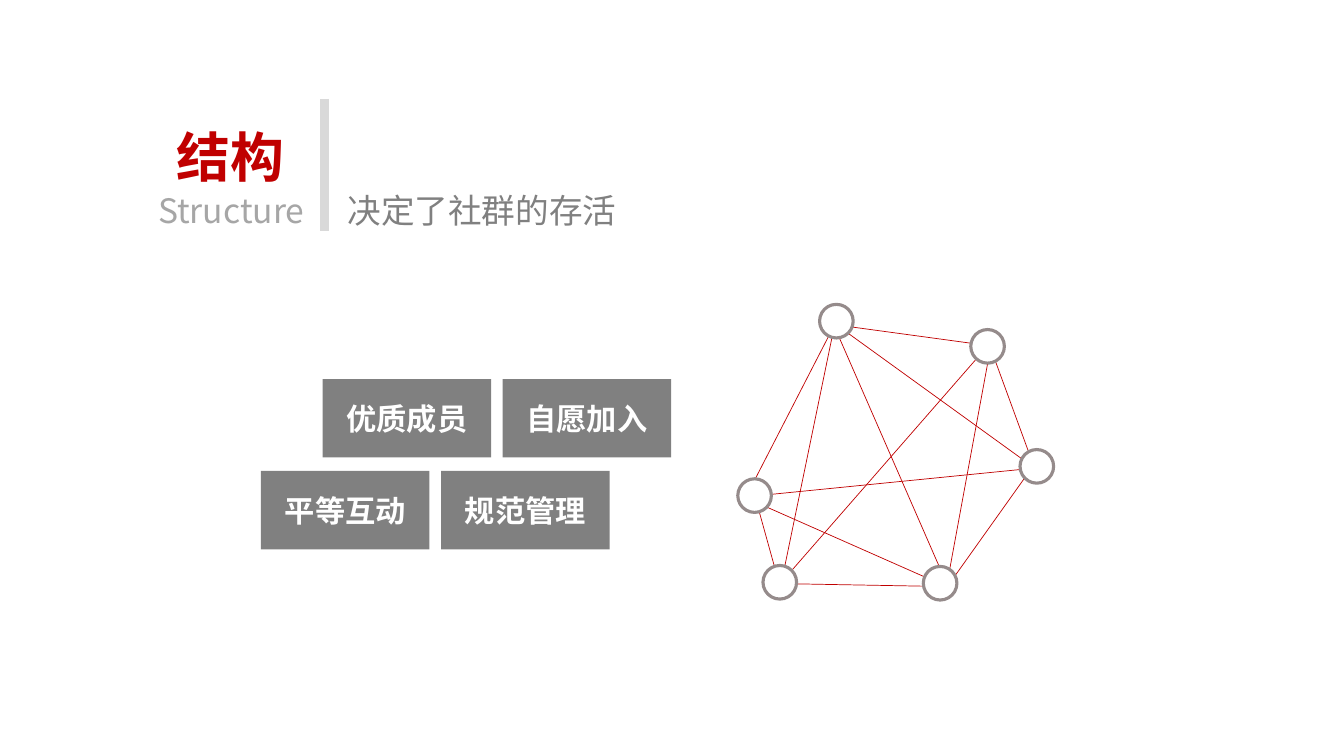
from pptx import Presentation
from pptx.dml.color import RGBColor
from pptx.enum.shapes import MSO_CONNECTOR, MSO_SHAPE
from pptx.enum.text import MSO_ANCHOR, MSO_AUTO_SIZE, PP_ALIGN
from pptx.oxml.ns import qn
from pptx.util import Pt
from lxml import etree

STRAIGHT = MSO_CONNECTOR.STRAIGHT
OVAL, RECTANGLE = MSO_SHAPE.OVAL, MSO_SHAPE.RECTANGLE
CENTER, MIDDLE = PP_ALIGN.CENTER, MSO_ANCHOR.MIDDLE
GROW = MSO_AUTO_SIZE.SHAPE_TO_FIT_TEXT

FONT = "Noto Sans CJK SC"
COLORS = {
    "red": "C00000",
    "gray": "808080",
    "silver": "A6A6A6",
    "divider": "D9D9D9",
    "ring": "958B8B",
    "white": "FFFFFF",
}

deck = Presentation()
deck.slide_width, deck.slide_height = Pt(960), Pt(540)
page = deck.slides.add_slide(deck.slide_layouts[6])


def write(frame, text, size, color, bold=False):
    para = frame.paragraphs[0]
    para.add_run().text = text
    para.alignment = CENTER
    font = para.font
    font.size, font.bold = Pt(size), bold
    font.color.rgb = RGBColor.from_string(COLORS[color])
    font.name = FONT
    defaults = para._p.pPr.find(qn("a:defRPr"))
    etree.SubElement(defaults, qn("a:ea"), typeface=FONT)
    return para


def draw_line(x1, y1, x2, y2, color, width):
    line = page.shapes.add_connector(STRAIGHT, Pt(x1), Pt(y1), Pt(x2), Pt(y2))
    line.line.color.rgb = RGBColor.from_string(COLORS[color])
    line.line.width = Pt(width)
    etree.SubElement(line._element.spPr, qn("a:effectLst"))


draw_line(231.8, 70.6, 231.8, 164.9, "divider", 6)

headings = [
    ("结构", 100, 62, 129.6, 77, 38.4, "red", True),
    ("决定了社群的存活", 236.2, 118, 216, 51, 24, "gray", False),
    ("Structure", 100.8, 118, 128.9, 51, 24, "silver", False),
]
for text, left, top, width, height, size, color, bold in headings:
    box = page.shapes.add_textbox(Pt(left), Pt(top), Pt(width), Pt(height))
    box.text_frame.word_wrap = True
    box.text_frame.auto_size = GROW
    write(box.text_frame, text, size, color, bold).line_spacing = 1.5

links = [
    (538.6, 352.1, 556.6, 416.9),
    (595.4, 231.8, 677.5, 419.8),
    (596.2, 231.1, 741.6, 336.2),
    (596.2, 231.8, 532.1, 356.4),
    (596.2, 231.8, 558, 416.9),
    (676.1, 419, 560.2, 416.9),
    (676.1, 419, 531.4, 355),
    (741.6, 334.1, 532.1, 355),
    (707.8, 247, 676.1, 419),
    (705.6, 247, 557.3, 416.9),
    (707, 247, 595.4, 231.8),
    (707, 247, 740.2, 337.7),
    (738.7, 331.9, 676.1, 419.8),
]
for link in links:
    draw_line(*link, "red", 0.5)

NODE_SIZE = 24
node_corners = [
    (693.4, 235.4), (728.6, 321.1), (659.5, 404.6),
    (545, 403.9), (527, 342), (585.4, 217.4),
]
for left, top in node_corners:
    node = page.shapes.add_shape(OVAL, Pt(left), Pt(top), Pt(NODE_SIZE), Pt(NODE_SIZE))
    node.shadow.inherit = False
    node.fill.solid()
    node.fill.fore_color.rgb = RGBColor.from_string(COLORS["white"])
    node.line.color.rgb = RGBColor.from_string(COLORS["ring"])
    node.line.width = Pt(2.25)

TILE_WIDTH, TILE_HEIGHT = 120.4, 56
COLUMN_STEP, ROW_STEP, ROW_SHIFT = 128.6, 65.6, 44
tile_rows = [("优质成员", "自愿加入"), ("平等互动", "规范管理")]
for row, labels in enumerate(tile_rows):
    for column, label in enumerate(labels):
        left = 230.4 + column * COLUMN_STEP - row * ROW_SHIFT
        top = 270.8 + row * ROW_STEP
        tile = page.shapes.add_shape(
            RECTANGLE, Pt(left), Pt(top), Pt(TILE_WIDTH), Pt(TILE_HEIGHT))
        tile.shadow.inherit = False
        tile.fill.solid()
        tile.fill.fore_color.rgb = RGBColor.from_string(COLORS["gray"])
        tile.line.fill.background()
        tile.text_frame.vertical_anchor = MIDDLE
        write(tile.text_frame, label, 21.6, "white", True)

deck.save("out.pptx")
